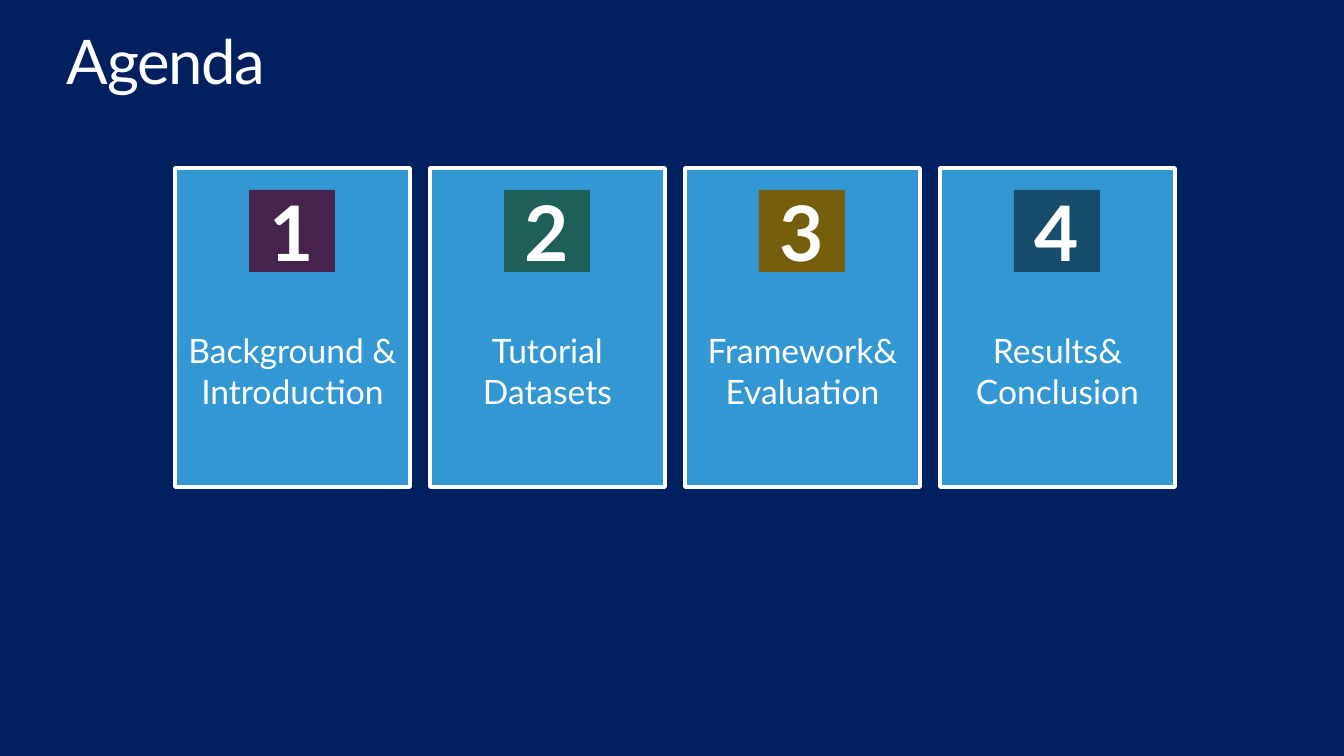
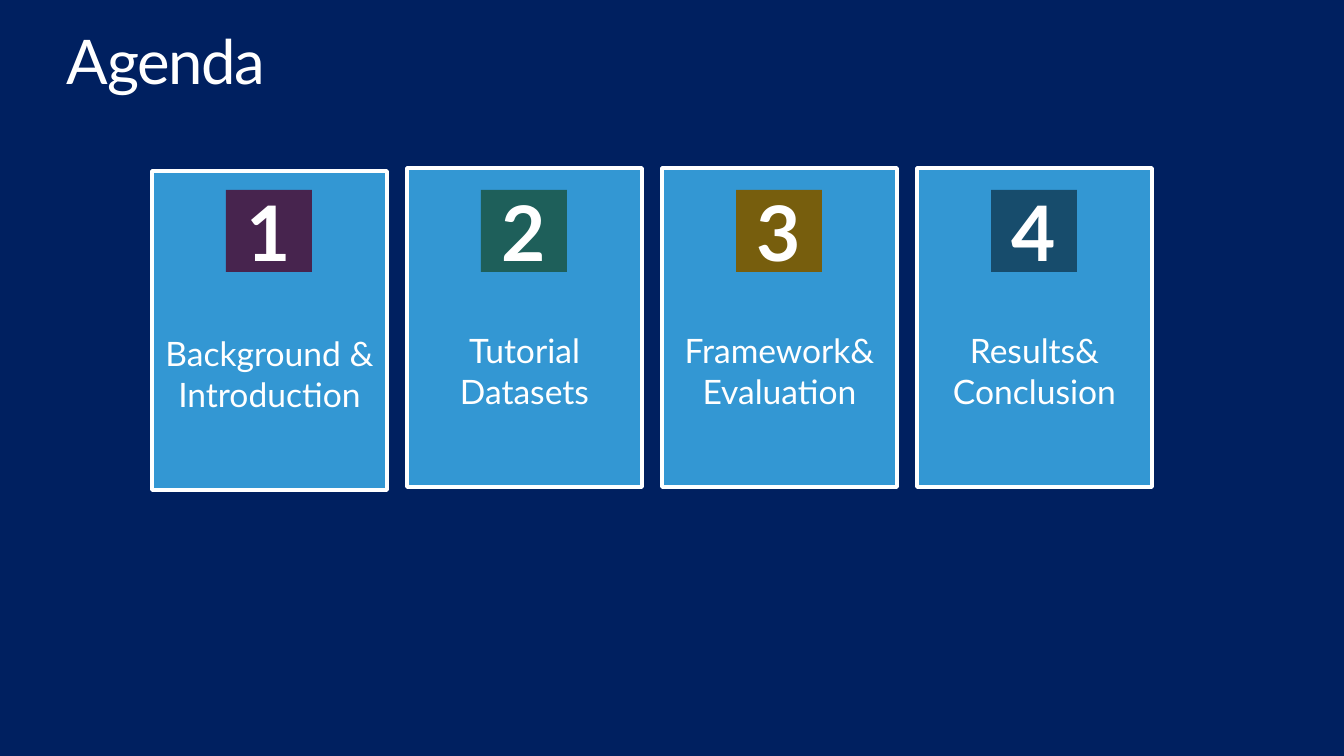
"""Build two agenda slides, each with a row of four numbered cards."""
from dataclasses import dataclass

from pptx import Presentation
from pptx.dml.color import RGBColor
from pptx.enum.shapes import MSO_SHAPE
from pptx.enum.text import MSO_ANCHOR, MSO_AUTO_SIZE, PP_ALIGN
from pptx.util import Emu, Pt

TITLE = "Agenda"
TOPICS = [
    ("Background & Introduction", "47244E"),
    ("Tutorial Datasets", "1E5F5A"),
    ("Framework&\nEvaluation", "775E0D"),
    ("Results& Conclusion", "174C6C"),
]
AGENDAS = [
    {"left": 175, "card_tops": [168, 168, 168, 168]},
    {"left": 152, "card_tops": [171, 168, 168, 168]},
]

SLIDE_SIZE = 1344, 756
TITLE_BOX = 67, 31, 992, 67
CARD_SIZE = CARD_WIDTH, CARD_HEIGHT = 235, 319
CARD_GAP = 20
CARD_INSETS = 10, 91, 10, 5
BADGE_SIZE = BADGE_WIDTH, BADGE_HEIGHT = 86, 82
BADGE_TOP = 190
BADGE_INSETS = 10, 5, 10, 5


@dataclass(frozen=True)
class Theme:
    font: str = "Lato"
    background: str = "002060"
    card: str = "3397D3"
    light: str = "FFFFFF"
    title_size: int = 33
    topic_size: int = 18
    number_size: int = 41
    title_spacing: int = -80
    border: int = 2


THEME = Theme()


def px(length):
    return Emu(round(length * 914400 / 134.4))


def color(value):
    return RGBColor.from_string(value)


def write(shape, text, *, size, bold=False, align=PP_ALIGN.CENTER,
          anchor=MSO_ANCHOR.MIDDLE, insets=(0, 0, 0, 0), line_spacing=None,
          spacing=None, auto_size=MSO_AUTO_SIZE.NONE):
    frame = shape.text_frame
    frame.text = text
    frame.word_wrap = True
    frame.auto_size = auto_size
    frame.vertical_anchor = anchor
    (frame.margin_left, frame.margin_top,
     frame.margin_right, frame.margin_bottom) = map(px, insets)
    for paragraph in frame.paragraphs:
        paragraph.alignment = align
        paragraph.line_spacing = line_spacing
        for run in paragraph.runs:
            run.font.name = THEME.font
            run.font.size = Pt(size)
            run.font.bold = bold
            run.font.color.rgb = color(THEME.light)
            if spacing is not None:
                run._r.get_or_add_rPr().set("spc", str(spacing))


def add_box(slide, left, top, size, fill, border=None):
    box = slide.shapes.add_shape(
        MSO_SHAPE.RECTANGLE, *map(px, (left, top, *size)))
    box.shadow.inherit = False
    box.fill.solid()
    box.fill.fore_color.rgb = color(fill)
    if border:
        box.line.color.rgb = color(THEME.light)
        box.line.width = Pt(border)
    else:
        box.line.fill.background()
    return box


def add_agenda(deck, layout, left, card_tops):
    slide = deck.slides.add_slide(layout)
    write(slide.shapes.title, TITLE, size=THEME.title_size,
          align=PP_ALIGN.LEFT, anchor=MSO_ANCHOR.TOP, line_spacing=0.9,
          spacing=THEME.title_spacing,
          auto_size=MSO_AUTO_SIZE.SHAPE_TO_FIT_TEXT)
    lefts = [left + index * (CARD_WIDTH + CARD_GAP)
             for index in range(len(TOPICS))]
    for card_left, top, (topic, _) in zip(lefts, card_tops, TOPICS):
        card = add_box(slide, card_left, top, CARD_SIZE, THEME.card, THEME.border)
        write(card, topic, size=THEME.topic_size, insets=CARD_INSETS)
    for number, (card_left, (_, fill)) in enumerate(zip(lefts, TOPICS), 1):
        badge_left = card_left + (CARD_WIDTH - BADGE_WIDTH) // 2
        badge = add_box(slide, badge_left, BADGE_TOP, BADGE_SIZE, fill)
        write(badge, str(number), size=THEME.number_size, bold=True,
              insets=BADGE_INSETS)


def main():
    deck = Presentation()
    deck.slide_width, deck.slide_height = map(px, SLIDE_SIZE)
    background = deck.slide_master.background.fill
    background.solid()
    background.fore_color.rgb = color(THEME.background)
    layout = deck.slide_layouts.get_by_name("Title Only")
    title = layout.placeholders[0]
    title.left, title.top, title.width, title.height = map(px, TITLE_BOX)
    for agenda in AGENDAS:
        add_agenda(deck, layout, **agenda)
    deck.save("out.pptx")


if __name__ == "__main__":
    main()
